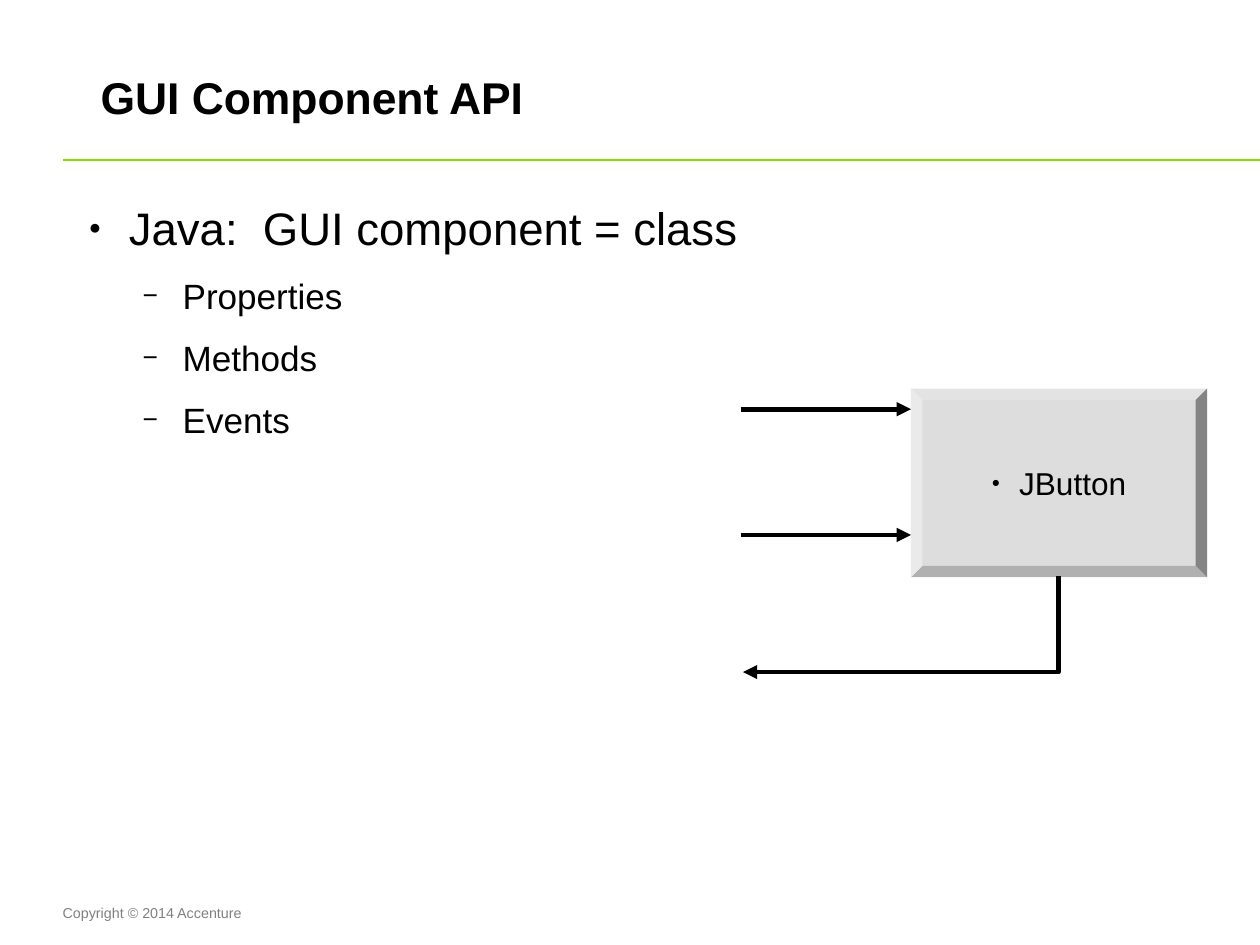
from lxml import etree
from pptx import Presentation
from pptx.dml.color import RGBColor
from pptx.enum import shapes, text
from pptx.oxml import ns
from pptx.util import Inches, Pt

BLACK = RGBColor(0, 0, 0)
GREEN = RGBColor(0x88, 0xDD, 0)
GRAY = RGBColor(0x80, 0x80, 0x80)
SILVER = RGBColor(0xDD, 0xDD, 0xDD)
FONT = "Arial"
WIDTH, HEIGHT = 28 / 2.54, 21 / 2.54


def add_run(para, words, size, color=BLACK, bold=False):
    run = para.add_run()
    run.text = words
    font = run.font
    font.name, font.size, font.bold = FONT, Pt(size), bold
    font.color.rgb = color


def indent(para, left, first=0):
    props = para._p.get_or_add_pPr()
    props.set("marL", str(Inches(left)))
    props.set("indent", str(Inches(first)))
    return props


def add_bullet(para, char, scale, left, hang):
    props = indent(para, left, -hang)
    color = etree.SubElement(props, ns.qn("a:buClr"))
    etree.SubElement(color, ns.qn("a:srgbClr"), val=str(BLACK))
    etree.SubElement(props, ns.qn("a:buSzPct"), val=str(scale * 1000))
    etree.SubElement(props, ns.qn("a:buFont"), typeface=FONT)
    etree.SubElement(props, ns.qn("a:buChar"), char=char)


def add_box(slide, left, top, width, height):
    box = slide.shapes.add_textbox(
        Inches(left), Inches(top), Inches(width), Inches(height))
    box.text_frame.word_wrap = True
    return box.text_frame


def set_line(shape, color, width, arrow=False):
    shape.line.color.rgb = color
    shape.line.width = Pt(width)
    if arrow:
        etree.SubElement(shape.line._get_or_add_ln(), ns.qn("a:tailEnd"),
                         type="triangle")


def add_rule(slide, left, right, y, color, width, arrow=False):
    """Draw a level line, with an arrowhead at its right end if asked."""
    line = slide.shapes.add_connector(
        shapes.MSO_CONNECTOR.STRAIGHT,
        Inches(left), Inches(y), Inches(right), Inches(y))
    set_line(line, color, width, arrow)
    etree.SubElement(line._element.spPr, ns.qn("a:effectLst"))


def add_bend(slide, start, *points):
    """Draw an open black path with an arrowhead at its last point."""
    path = slide.shapes.build_freeform(*map(Inches, start))
    path.add_line_segments(
        [(Inches(x), Inches(y)) for x, y in points], close=False)
    bend = path.convert_to_shape()
    bend.shadow.inherit = False
    bend.fill.background()
    set_line(bend, BLACK, 3, arrow=True)


def set_title(slide, words):
    title = slide.shapes.title
    title.left, title.top = Inches(0.54), Inches(0.37)
    title.width, title.height = Inches(10.48), Inches(0.95)
    frame = title.text_frame
    frame.auto_size = text.MSO_AUTO_SIZE.NONE
    frame.vertical_anchor = text.MSO_ANCHOR.MIDDLE
    para = frame.paragraphs[0]
    para.alignment = text.PP_ALIGN.LEFT
    indent(para, 0.24)
    add_run(para, words, 28, bold=True)


def add_list(slide, head, items):
    frame = add_box(slide, 0.56, 1.7, 9.93, 6.06)
    para = frame.paragraphs[0]
    add_bullet(para, "●", 45, 0.47, 0.35)
    add_run(para, head, 28.7)
    for item in items:
        para = frame.add_paragraph()
        para.level = 1
        para.space_before = Pt(12.5)
        add_bullet(para, "−", 75, 0.94, 0.35)
        add_run(para, item, 22.1)


def add_button(slide, label, left, top, width, height):
    button = slide.shapes.add_shape(
        shapes.MSO_SHAPE.BEVEL,
        Inches(left), Inches(top), Inches(width), Inches(height))
    button.adjustments[0] = 0.06
    button.shadow.inherit = False
    button.fill.solid()
    button.fill.fore_color.rgb = SILVER
    button.line.fill.background()
    frame = button.text_frame
    frame.word_wrap = False
    frame.vertical_anchor = text.MSO_ANCHOR.MIDDLE
    para = frame.paragraphs[0]
    para.alignment = text.PP_ALIGN.CENTER
    add_bullet(para, "●", 45, 0.24, 0.24)
    add_run(para, label, 19.9)


def main():
    deck = Presentation()
    deck.slide_width, deck.slide_height = Inches(WIDTH), Inches(HEIGHT)
    slide = deck.slides.add_slide(deck.slide_layouts[5])

    add_rule(slide, 0.55, WIDTH, 1.4, GREEN, 1)
    foot = add_box(slide, 0.45, 7.86, 10.06, 0.25)
    add_run(foot.paragraphs[0], "Copyright © 2014 Accenture", 9, GRAY)

    set_title(slide, "GUI Component API")
    add_list(slide, "Java:  GUI component = class",
             ["Properties", "Methods", "Events"])

    add_button(slide, "JButton", 7.97, 3.4, 2.59, 1.65)
    for y in (3.58, 4.68):
        add_rule(slide, 6.48, 7.97, y, BLACK, 3, arrow=True)
    add_bend(slide, (9.26, 5.04), (9.26, 5.88), (6.5, 5.88))

    deck.save("out.pptx")


if __name__ == "__main__":
    main()
